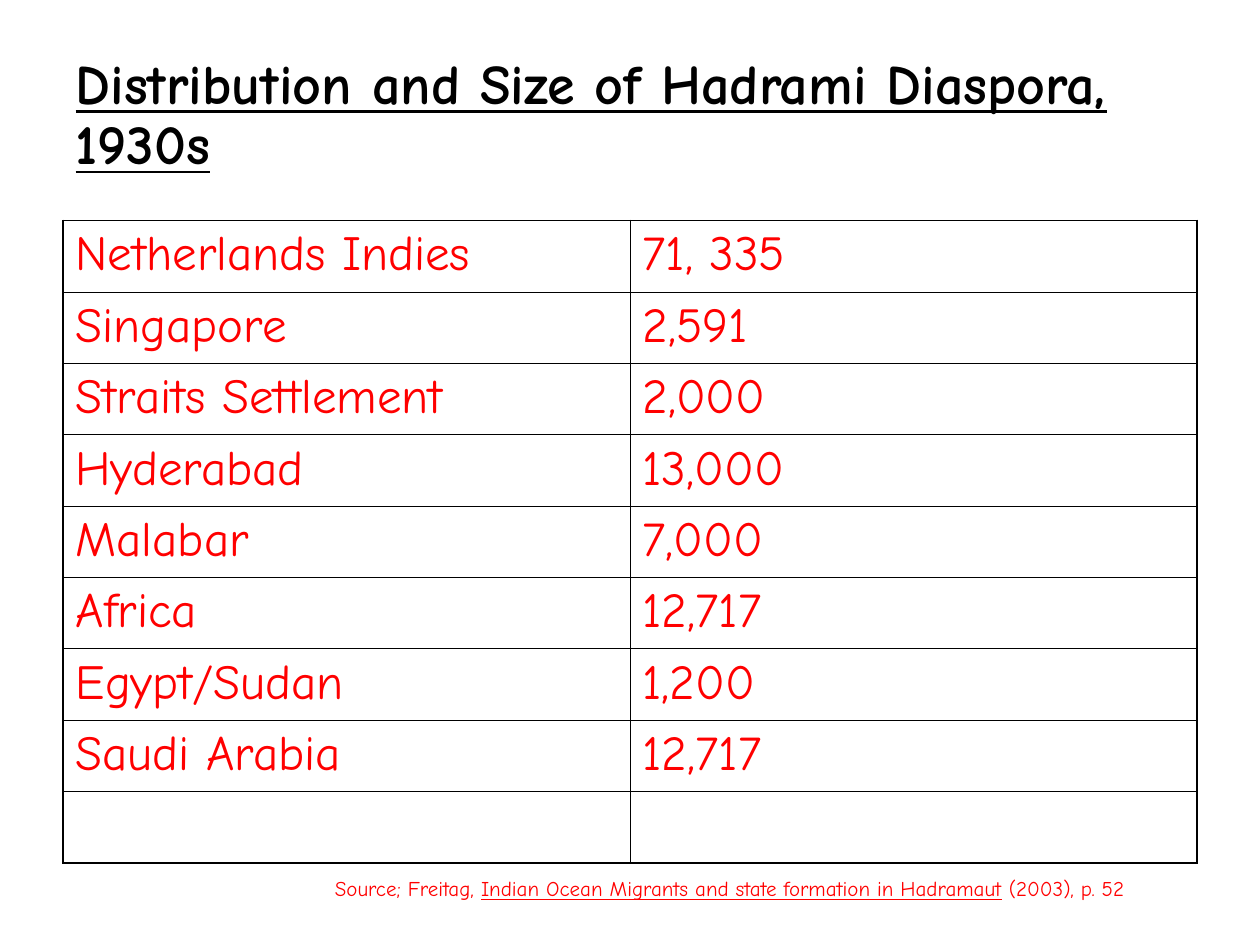
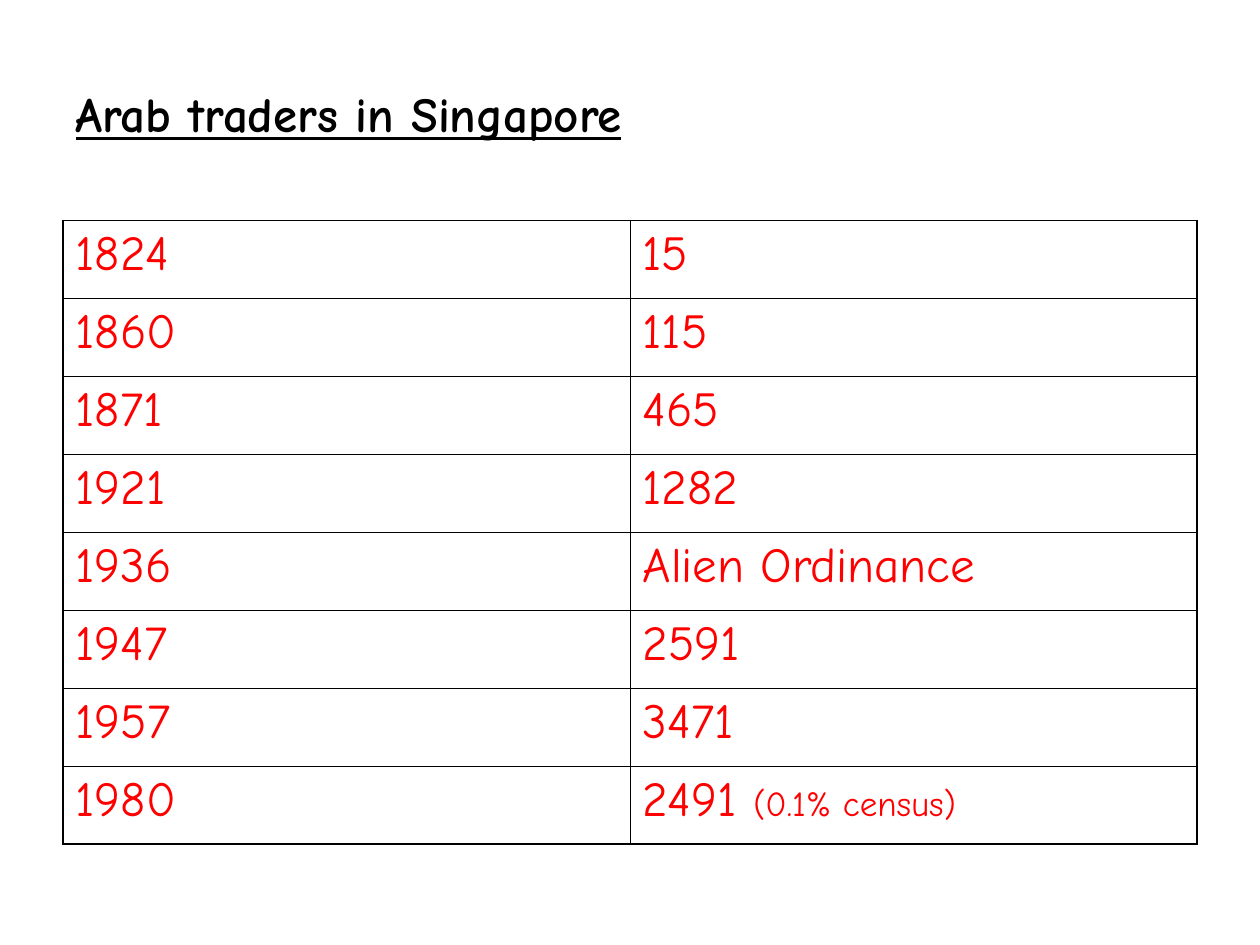
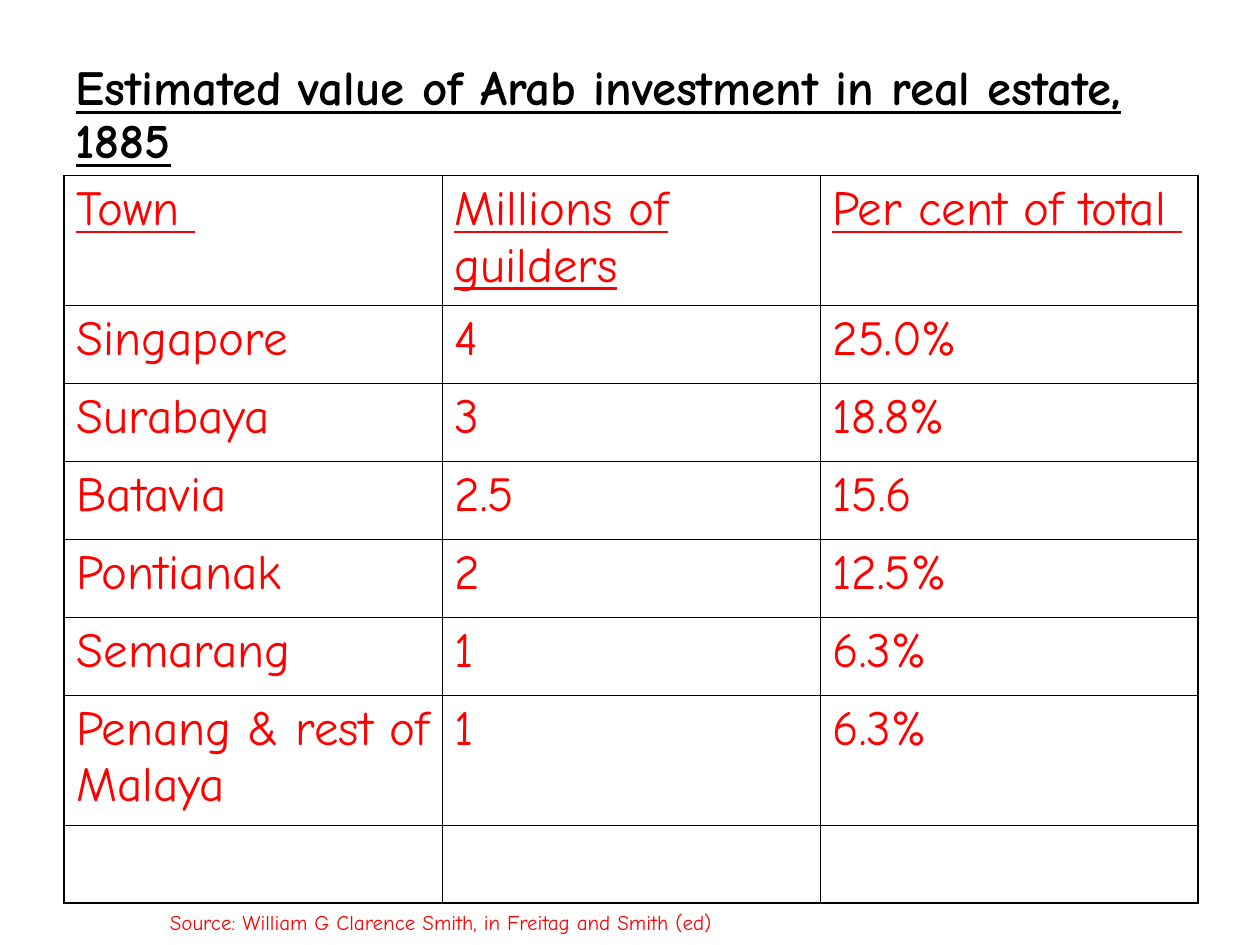
"""Build three slides of tables on the Hadrami and Arab diaspora."""
from lxml import etree
from pptx import Presentation
from pptx.dml.color import RGBColor
from pptx.enum.text import MSO_ANCHOR, MSO_AUTO_SIZE, PP_ALIGN
from pptx.oxml.ns import qn
from pptx.util import Pt

LEFT = PP_ALIGN.LEFT
MIDDLE = MSO_ANCHOR.MIDDLE
NO_AUTOFIT = MSO_AUTO_SIZE.NONE
FONT = "Comic Neue"
BLACK, RED = "000000", "FF0000"
OUTER, INNER = Pt(1.08), Pt(0.45)
TABLE_WIDTH = 648

TOPICS = [
    {
        "title": "Distribution and Size of Hadrami Diaspora, 1930s",
        "title_size": 32,
        "corner": (36, 126),
        "heights": [40.8] * 9,
        "underlined_rows": 0,
        "rows": [
            ("Netherlands Indies", "71, 335"),
            ("Singapore", "2,591"),
            ("Straits Settlement", "2,000"),
            ("Hyderabad", "13,000"),
            ("Malabar", "7,000"),
            ("Africa", "12,717"),
            ("Egypt/Sudan", "1,200"),
            ("Saudi Arabia", "12,717"),
            ("", ""),
        ],
    },
    {
        "title": "Arab traders in Singapore",
        "title_size": 28,
        "corner": (36, 126),
        "heights": [44.55] * 8,
        "underlined_rows": 0,
        "rows": [
            ("1824", "15"),
            ("1860", "115"),
            ("1871", "465"),
            ("1921", "1282"),
            ("1936", "Alien Ordinance"),
            ("1947", "2591"),
            ("1957", "3471"),
            ("1980", "2491 "),
        ],
    },
    {
        "title": "Estimated value of Arab investment in real estate, 1885",
        "title_size": 28,
        "corner": (36.5, 100.2),
        "heights": [74.4] + [44.55] * 5 + [74.4, 44.55],
        "underlined_rows": 1,
        "rows": [
            ("Town ", "Millions of guilders", "Per cent of total "),
            ("Singapore", "4", "25.0%"),
            ("Surabaya", "3", "18.8%"),
            ("Batavia", "2.5", "15.6"),
            ("Pontianak", "2", "12.5%"),
            ("Semarang", "1", "6.3%"),
            ("Penang & rest of Malaya", "1", "6.3%"),
            ("", "", ""),
        ],
    },
]


def add_text(paragraph, text, size, colour=RED, bold=False, underline=False):
    """Append a formatted run to a paragraph."""
    run = paragraph.add_run()
    run.text = text
    run.font.name = FONT
    run.font.size = Pt(size)
    run.font.bold = bold
    run.font.underline = underline
    run.font.color.rgb = RGBColor.from_string(colour)


def add_source(slide, left, top, width, height, wrap):
    """Add a source line box and return its paragraph."""
    box = slide.shapes.add_textbox(Pt(left), Pt(top), Pt(width), Pt(height))
    box.text_frame.word_wrap = wrap
    return box.text_frame.paragraphs[0]


prs = Presentation()
prs.slide_width, prs.slide_height = Pt(720), Pt(540)
slides, tables = [], []

for topic in TOPICS:
    slide = prs.slides.add_slide(prs.slide_layouts[5])
    title = slide.shapes.title
    title.left, title.top, title.width, title.height = Pt(36), Pt(21.6), Pt(648), Pt(90)
    title.text_frame.auto_size = NO_AUTOFIT
    title.text_frame.vertical_anchor = MIDDLE
    heading = title.text_frame.paragraphs[0]
    heading.alignment = LEFT
    heading.line_spacing = 0.9
    add_text(heading, topic["title"], topic["title_size"], BLACK, bold=True, underline=True)

    rows = topic["rows"]
    last_row, last_column = len(rows) - 1, len(rows[0]) - 1
    left, top = topic["corner"]
    table = slide.shapes.add_table(
        len(rows), len(rows[0]), Pt(left), Pt(top), Pt(TABLE_WIDTH), Pt(sum(topic["heights"]))
    ).table
    table.first_row = table.horz_banding = False
    for column in table.columns:
        column.width = Pt(TABLE_WIDTH / len(rows[0]))

    for r, values in enumerate(rows):
        table.rows[r].height = Pt(topic["heights"][r])
        for c, value in enumerate(values):
            cell = table.cell(r, c)
            if value:
                add_text(cell.text_frame.paragraphs[0], value, 28,
                         underline=r < topic["underlined_rows"])
            properties = cell._tc.get_or_add_tcPr()
            edges = {"lnL": c == 0, "lnR": c == last_column, "lnT": r == 0, "lnB": r == last_row}
            for edge, is_outer in edges.items():
                line = etree.SubElement(properties, qn(f"a:{edge}"), w=str(OUTER if is_outer else INNER))
                fill = etree.SubElement(line, qn("a:solidFill"))
                etree.SubElement(fill, qn("a:srgbClr"), val=BLACK)
            cell.fill.background()
    slides.append(slide)
    tables.append(table)

census_cell = tables[1].cell(7, 1)
add_text(census_cell.text_frame.paragraphs[0], "(0.1% census)", 20)

diaspora_source = add_source(slides[0], 184.3, 499.7, 468, 33, False)
diaspora_source.line_spacing = 0.8
add_text(diaspora_source, "Source; Freitag, ", 12)
add_text(diaspora_source, "Indian Ocean Migrants and state formation in Hadramaut", 12, underline=True)
add_text(diaspora_source, " (2003), p. 52", 12)

investment_source = add_source(slides[2], 90, 516.2, 384, 21.6, True)
add_text(investment_source, "Source: William G Clarence Smith, in Freitag and Smith (ed)", 12)

prs.save("out.pptx")
